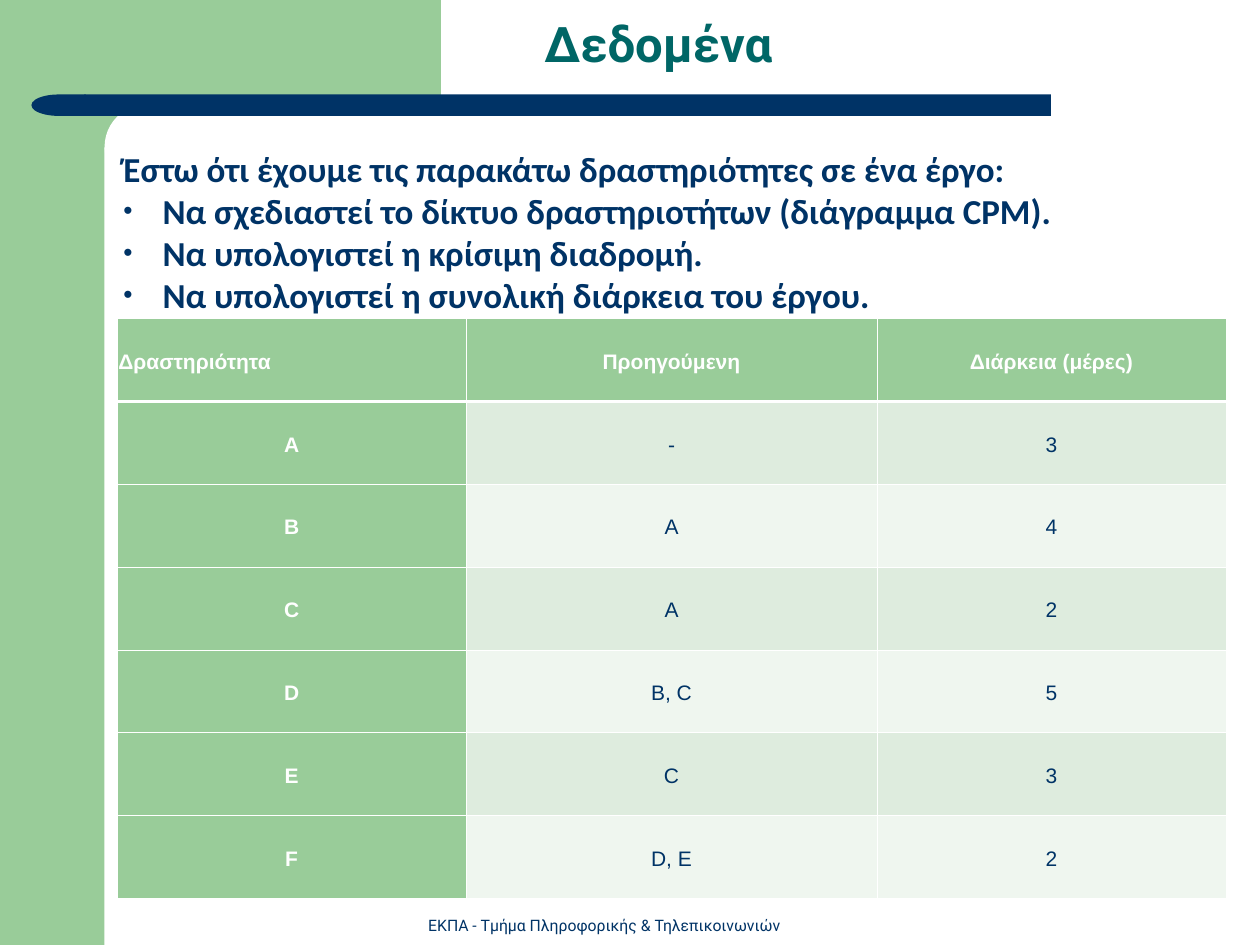
from lxml import etree
from pptx import Presentation
from pptx.dml.color import RGBColor
from pptx.enum import shapes, text
from pptx.oxml import ns
from pptx.util import Inches, Pt

COLORS = {"green": "99CC99", "navy": "003366", "teal": "006666", "white": "FFFFFF",
          "band": "DEECDE", "pale": "EFF6EF", "shadow": "5F7F5F"}


def add_run(p, words, size, font, color, bold=False):
    r = p.add_run()
    r.text = words
    r.font.size, r.font.name, r.font.bold = Pt(size), font, bold
    r.font.color.rgb = RGBColor.from_string(COLORS[color])
    return r


def add_xml(parent, tag, **attrs):
    return etree.SubElement(parent, ns.qn(tag), attrs)


prs = Presentation()
prs.slide_width, prs.slide_height = Inches(10), Inches(7.5)
s = prs.slides.add_slide(prs.slide_layouts[1])
title, body = s.placeholders[0], s.placeholders[1]

# Background decoration: green panels, white rounded corner, navy bar with a round end
MSO = shapes.MSO_SHAPE
for kind, left, top, width, height, color, adj in [
    (MSO.RECTANGLE, 0, 0, 0.83, 7.5, "green", None),
    (MSO.RECTANGLE, 0.75, 0, 2.75, 1.17, "green", None),
    (MSO.ROUNDED_RECTANGLE, 0.83, 0.83, 5.58, 0.67, "white", 0.5),
    (MSO.ROUNDED_RECTANGLE, 0.67, 0.75, 7.67, 0.17, "navy", 0),
    (MSO.FLOWCHART_DELAY, 0.25, 0.75, 0.43, 0.17, "navy", None),
]:
    sp = s.shapes.add_shape(kind, Inches(left), Inches(top), Inches(width), Inches(height))
    sp.shadow.inherit = False
    sp.fill.solid()
    sp.fill.fore_color.rgb = RGBColor.from_string(COLORS[color])
    sp.line.fill.background()
    if adj is not None:
        sp.adjustments[0] = adj
    if kind == MSO.FLOWCHART_DELAY:
        sp._element.spPr.xfrm.set("flipH", "1")

# Footer
sp = s.shapes.add_textbox(Inches(3.21), Inches(7.22), Inches(3.17), Inches(0.25))
tf = sp.text_frame
tf.word_wrap = True
tf.vertical_anchor = text.MSO_ANCHOR.BOTTOM
p = tf.paragraphs[0]
p.alignment = text.PP_ALIGN.CENTER
add_run(p, "ΕΚΠΑ - Τμήμα Πληροφορικής & Τηλεπικοινωνιών", 9, "Roboto", "navy")

# Title, brought in front of the decoration
s.shapes._spTree.append(title._element)
title.left, title.top, title.width, title.height = Inches(0.35), Inches(0), Inches(9.65), Inches(0.68)
tf = title.text_frame
tf.auto_size = text.MSO_AUTO_SIZE.NONE
tf.vertical_anchor = text.MSO_ANCHOR.MIDDLE
tf.margin_left = Inches(0.2)
p = tf.paragraphs[0]
p.alignment = text.PP_ALIGN.CENTER
add_run(p, "Δεδομένα", 28, "Roboto", "teal", True)

# Table of activities
ROWS = [("Δραστηριότητα", "Προηγούμενη", "Διάρκεια (μέρες)"),
        ("A", "-", "3"), ("B", "A", "4"), ("C", "A", "2"),
        ("D", "B, C", "5"), ("E", "C", "3"), ("F", "D, E", "2")]
table = s.shapes.add_table(len(ROWS), 3, Inches(0.93), Inches(2.53), Inches(8.8), Inches(4.6)).table
for column, width in zip(table.columns, (2.77, 3.26, 2.77)):
    column.width = Inches(width)
for i, row in enumerate(ROWS):
    for j, words in enumerate(row):
        cell = table.cell(i, j)
        heading = i == 0 or j == 0
        cell.vertical_anchor = text.MSO_ANCHOR.MIDDLE
        cell.margin_left = cell.margin_right = Inches(0.01)
        for side in "LRTB":
            thick = (i, side) in ((0, "B"), (1, "T"))
            ln = add_xml(cell._tc.get_or_add_tcPr(), f"a:ln{side}", w=str(Pt(1.47 if thick else 0.45)))
            add_xml(add_xml(ln, "a:solidFill"), "a:srgbClr", val=COLORS["white"])
        cell.fill.solid()
        fill = "green" if heading else "band" if i % 2 else "pale"
        cell.fill.fore_color.rgb = RGBColor.from_string(COLORS[fill])
        p = cell.text_frame.paragraphs[0]
        p.alignment = text.PP_ALIGN.LEFT if i == j == 0 else text.PP_ALIGN.CENTER
        p.line_spacing, p.space_after = 1.15, Pt(8)
        add_run(p, words, 12, "Arial", "white" if heading else "navy", heading)

# Task list with shadowed text
s.shapes._spTree.append(body._element)
body.left, body.top, body.width, body.height = Inches(0.88), Inches(1.12), Inches(8.84), Inches(1.77)
tf = body.text_frame
tf.auto_size = text.MSO_AUTO_SIZE.NONE
tf.vertical_anchor = text.MSO_ANCHOR.TOP
for i, words in enumerate([
    "Έστω ότι έχουμε τις παρακάτω δραστηριότητες σε ένα έργο:",
    "Να σχεδιαστεί το δίκτυο δραστηριοτήτων (διάγραμμα CPM).",
    "Να υπολογιστεί η κρίσιμη διαδρομή.",
    "Να υπολογιστεί η συνολική διάρκεια του έργου.",
]):
    p = tf.add_paragraph() if i else tf.paragraphs[0]
    pPr = p._p.get_or_add_pPr()
    indent = Inches(0.31) if i else 0
    pPr.set("marL", str(indent))
    pPr.set("indent", str(-indent))
    if i:
        add_xml(add_xml(pPr, "a:buClr"), "a:srgbClr", val=COLORS["navy"])
        add_xml(pPr, "a:buSzPct", val="75000")
        add_xml(pPr, "a:buChar", char="•")
    else:
        add_xml(pPr, "a:buNone")
    p.space_before = Pt(0)
    r = add_run(p, words, 20, "Calibri", "navy", True)
    effects = etree.Element(ns.qn("a:effectLst"))
    shadow = add_xml(effects, "a:outerShdw", dist=str(Pt(1.5)), dir="2700000", algn="tl")
    add_xml(shadow, "a:srgbClr", val=COLORS["shadow"])
    r._r.rPr.find(ns.qn("a:solidFill")).addnext(effects)

prs.save("out.pptx")
